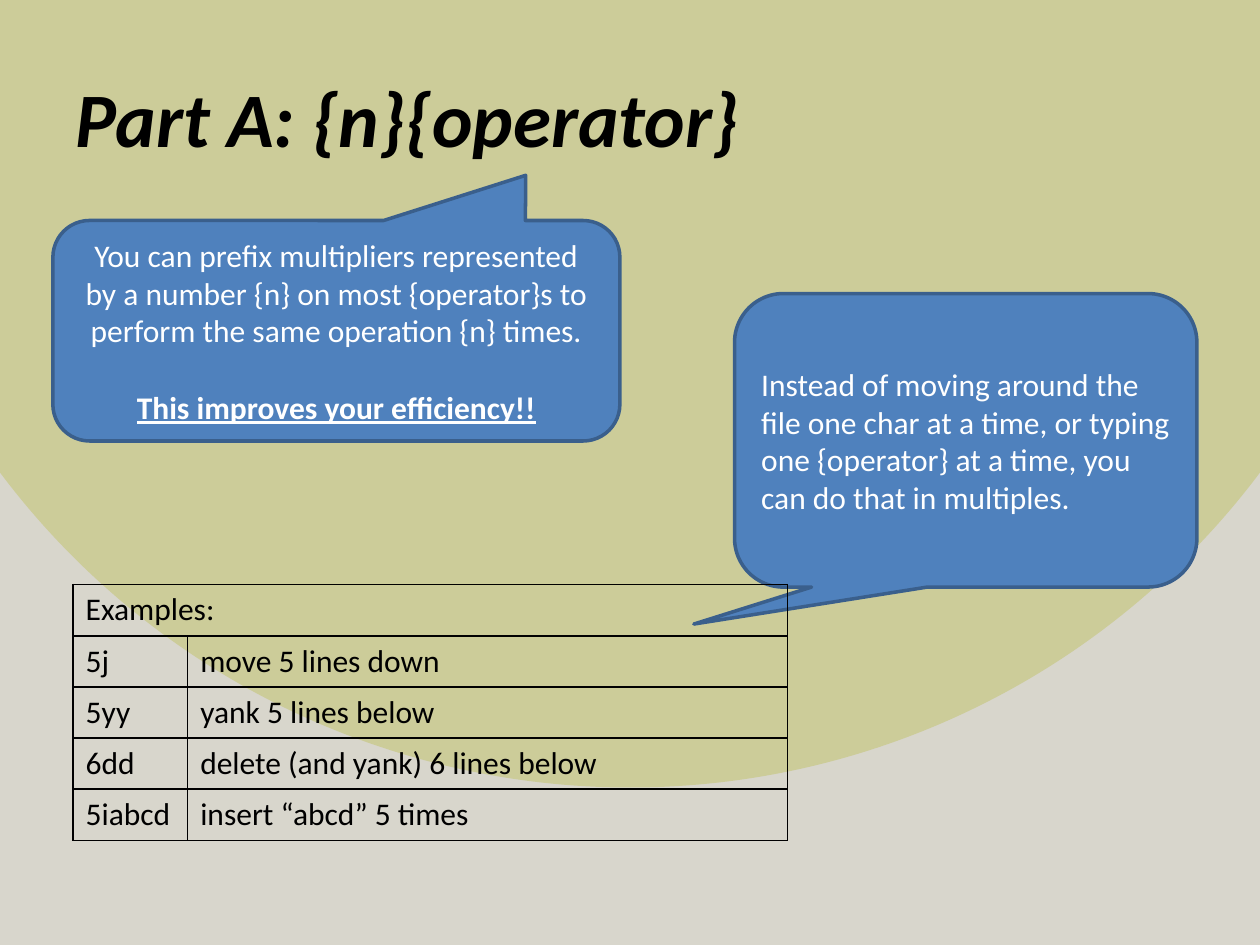
from dataclasses import dataclass

from lxml.etree import SubElement
from pptx import Presentation
from pptx.dml.color import RGBColor as RGB
from pptx.enum.shapes import MSO_SHAPE as Preset
from pptx.enum.text import MSO_ANCHOR as Anchor, PP_ALIGN as Align
from pptx.oxml.ns import qn
from pptx.util import Inches, Pt


@dataclass(frozen=True)
class Theme:
    """Colours and type sizes of the slide."""
    font: str = "Calibri"
    ink: str = "000000"
    light: str = "FFFFFF"
    disc: str = "CCCC99"
    ground: str = "D8D6CC"
    bubble: str = "4F81BD"
    outline: str = "3A5F8C"
    title_size: int = 44
    body_size: int = 18
    line_gap: int = 22


THEME = Theme()


def write(paragraph, text, size=THEME.body_size, color=THEME.ink, bold=False,
          italic=False, underline=False, align=Align.LEFT, before=0):
    """Put formatted text into a paragraph."""
    paragraph.alignment = align
    paragraph.space_before = Pt(before)
    run = paragraph.add_run()
    run.text = text
    font = run.font
    font.name, font.size = THEME.font, Pt(size)
    font.bold, font.italic, font.underline = bold, italic, underline
    font.color.rgb = RGB.from_string(color)


def paint_background(slide):
    """Fill the slide with a hard-edged disc centred on the top edge."""
    fill = slide.background.fill
    fill.gradient()
    for stop, color in zip(fill.gradient_stops, (THEME.disc, THEME.ground)):
        stop.color.rgb = RGB.from_string(color)
        stop.position = 1.0
    linear = slide.element.find(".//" + qn("a:lin"))
    gradient = linear.getparent()
    gradient.remove(linear)
    circle = SubElement(gradient, qn("a:path"), path="circle")
    SubElement(circle, qn("a:fillToRect"), l="43000", t="0", r="43000", b="100000")


def place_title(slide, box, text):
    """Move the title placeholder into the box and fill it."""
    title = slide.shapes.title
    title.left, title.top, title.width, title.height = map(Inches, box)
    title.text_frame.vertical_anchor = Anchor.MIDDLE
    write(title.text_frame.paragraphs[0], text, size=THEME.title_size,
          bold=True, italic=True)


def add_callout(slide, box, tail, paragraphs):
    """Draw a speech bubble whose tail is given relative to its box."""
    bubble = slide.shapes.add_shape(Preset.ROUNDED_RECTANGULAR_CALLOUT,
                                    *map(Inches, box))
    bubble.adjustments[0], bubble.adjustments[1] = tail
    bubble.shadow.inherit = False
    bubble.fill.solid()
    bubble.fill.fore_color.rgb = RGB.from_string(THEME.bubble)
    bubble.line.color.rgb = RGB.from_string(THEME.outline)
    bubble.line.width = Pt(2)
    frame = bubble.text_frame
    frame.word_wrap = True
    frame.vertical_anchor = Anchor.MIDDLE
    for index, (text, style) in enumerate(paragraphs):
        paragraph = frame.add_paragraph() if index else frame.paragraphs[0]
        write(paragraph, text, color=THEME.light, **style)


def outline_cell(cell):
    """Give a cell thin borders and no fill."""
    properties = cell._tc.get_or_add_tcPr()
    for side in ("lnL", "lnR", "lnT", "lnB"):
        border = SubElement(properties, qn(f"a:{side}"), w=str(Pt(1)))
        solid = SubElement(border, qn("a:solidFill"))
        SubElement(solid, qn("a:srgbClr"), val=THEME.ink)
    cell.fill.background()


def add_examples(slide, box, heading, examples, command_width):
    """Draw the table of commands below a heading row."""
    left, top, width, height = map(Inches, box)
    table = slide.shapes.add_table(len(examples) + 1, 2, left, top,
                                   width, height).table
    table.first_row = table.horz_banding = False
    table.columns[0].width = Inches(command_width)
    table.columns[1].width = width - Inches(command_width)
    table.cell(0, 0).merge(table.cell(0, 1))
    for row, texts in enumerate([(heading,), *examples]):
        for column, text in enumerate(texts):
            write(table.cell(row, column).text_frame.paragraphs[0], text)
    for cell in table.iter_cells():
        outline_cell(cell)


def build_slide(deck):
    """Compose the slide on multiplied operators."""
    slide = deck.slides.add_slide(deck.slide_layouts[5])
    paint_background(slide)
    place_title(slide, (0.5, 0.3, 9, 1.25), "Part A: {n}{operator}")
    add_callout(slide, (0.42, 1.75, 4.5, 1.75), (0.334, -0.705), [
        ("You can prefix multipliers represented by a number {n} on most "
         "{operator}s to perform the same operation {n} times.",
         {"align": Align.CENTER}),
        ("This improves your efficiency!!",
         {"align": Align.CENTER, "bold": True, "underline": True,
          "before": THEME.line_gap}),
    ])
    add_callout(slide, (5.83, 2.33, 3.67, 2.33), (-0.588, 0.626), [
        ("Instead of moving around the file one char at a time, or typing one "
         "{operator} at a time, you can do that in multiples.", {}),
    ])
    add_examples(slide, (0.58, 4.64, 5.67, 2.03), "Examples:", [
        ("5j", "move 5 lines down"),
        ("5yy", "yank 5 lines below"),
        ("6dd", "delete (and yank) 6 lines below"),
        ("5iabcd", "insert “abcd” 5 times"),
    ], command_width=0.91)


deck = Presentation()
deck.slide_width, deck.slide_height = Inches(10), Inches(7.5)
build_slide(deck)
deck.save("out.pptx")
